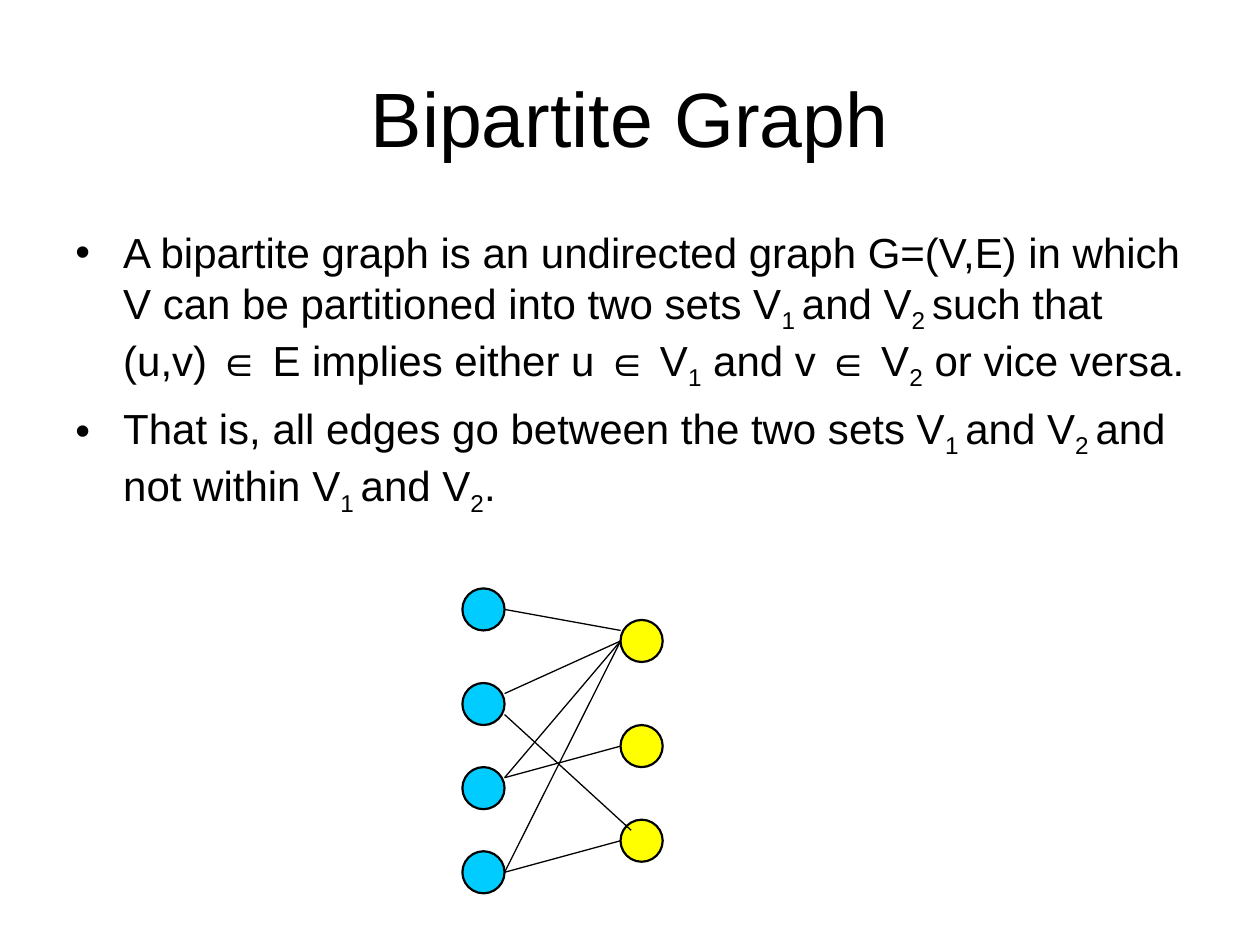
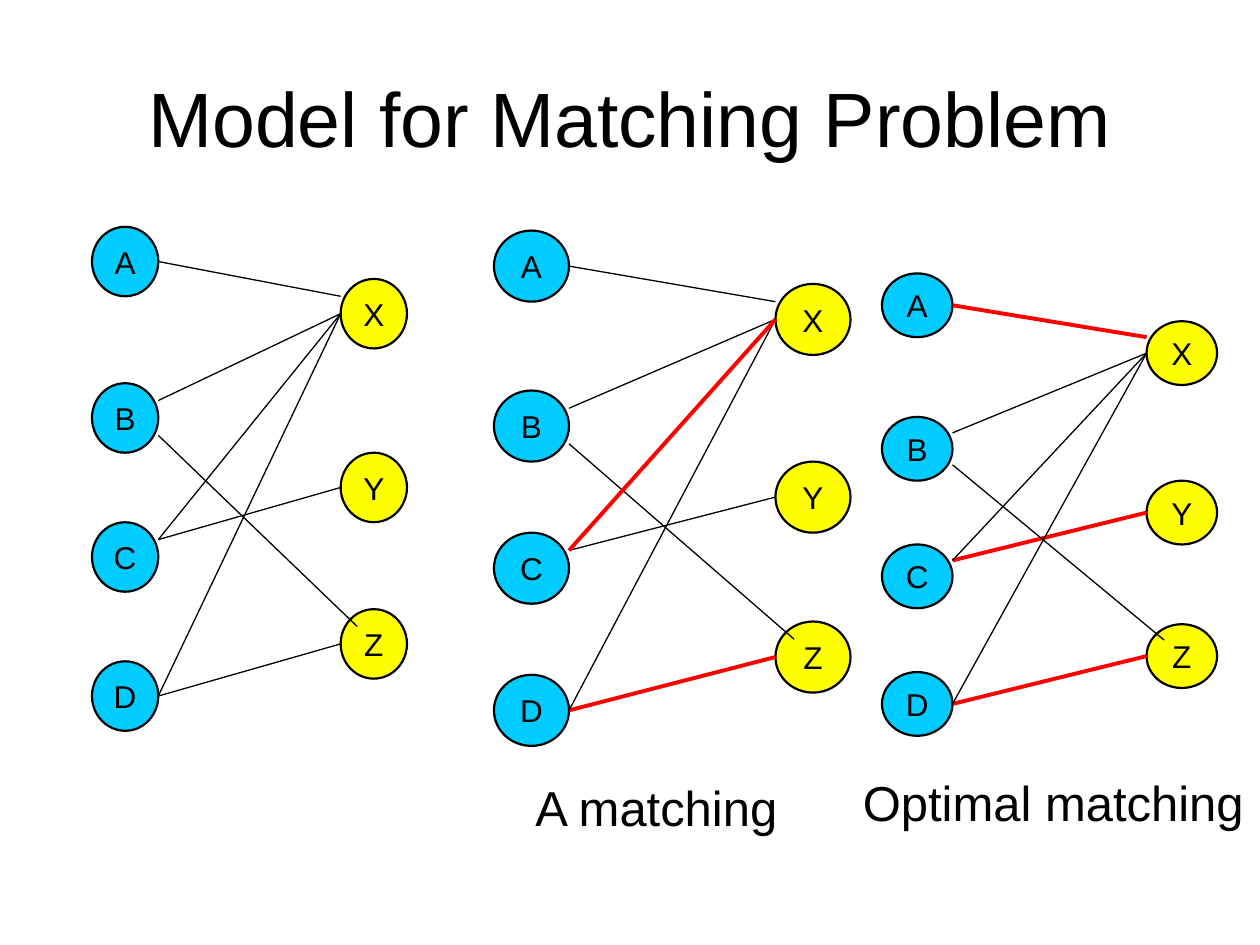
from dataclasses import dataclass

from lxml.etree import SubElement
from pptx import Presentation
from pptx.dml.color import RGBColor
from pptx.enum.shapes import MSO_CONNECTOR, MSO_SHAPE
from pptx.enum.text import MSO_ANCHOR, MSO_AUTO_SIZE, PP_ALIGN
from pptx.oxml.ns import qn
from pptx.util import Pt

EMU_PER_PX = 9144
FONT = "Arial"
BLACK, BLUE, YELLOW, RED = "000000", "00CCFF", "FFFF00", "FF0000"
HANGING_INDENT = 38

GRID_COLUMNS, GRID_ROWS, NODE_SPAN = 19, 29, 4


@dataclass(frozen=True)
class Node:
    label: str
    column: int
    row: int
    fill: str


@dataclass(frozen=True)
class Edge:
    name: str
    start: tuple[int, int]
    end: tuple[int, int]


@dataclass(frozen=True)
class Graph:
    left: int
    top: int
    width: int
    height: int
    labelled: bool = True
    matching: tuple[str, ...] = ()

    def x(self, column: int) -> int:
        return px(self.left + self.width * column / GRID_COLUMNS)

    def y(self, row: int) -> int:
        return px(self.top + self.height * row / GRID_ROWS)


@dataclass(frozen=True)
class Caption:
    text: str
    left: int
    top: int
    width: int


NODES = [
    *(Node(label, 0, row, BLUE) for label, row in zip("ABCD", (0, 9, 17, 25))),
    *(Node(label, 15, row, YELLOW) for label, row in zip("XYZ", (3, 13, 22))),
]
EDGES = [
    Edge("AX", (4, 2), (15, 4)),
    Edge("BX", (4, 10), (15, 5)),
    Edge("CY", (4, 18), (15, 15)),
    Edge("DZ", (4, 27), (15, 24)),
    Edge("DX", (4, 27), (15, 5)),
    Edge("BZ", (4, 12), (16, 23)),
    Edge("CX", (4, 18), (15, 5)),
]

DEFINITION_GRAPH = Graph(367, 467, 159, 242, labelled=False)
MATCHING_GRAPHS = [
    Graph(73, 180, 250, 400),
    Graph(392, 183, 283, 409, matching=("CX", "DZ")),
    Graph(700, 217, 266, 367, matching=("AX", "CY", "DZ")),
]
CAPTIONS = [
    Caption("A matching", 415, 612, 230),
    Caption("Optimal matching", 675, 608, 324),
]

# Odd pieces are subscripts.
DEFINITION = [
    ["A bipartite graph is an undirected graph G=(V,E) in which V can be "
     "partitioned into two sets V", "1 ", "and V", "2 ",
     "such that (u,v) ∈ E implies either u ∈ V", "1", " and v ∈ V", "2",
     " or vice versa."],
    ["That is, all edges go between the two sets V", "1 ", "and V", "2 ",
     "and not within V", "1 ", "and V", "2", "."],
]


def px(length: float) -> int:
    return round(length * EMU_PER_PX)


def color(value: str) -> RGBColor:
    return RGBColor.from_string(value)


def style(para, size: int, align=PP_ALIGN.LEFT) -> None:
    para.alignment = align
    para.font.name = FONT
    para.font.size = Pt(size)
    para.font.color.rgb = color(BLACK)


def add_text_box(page, left: int, top: int, width: int, height: int):
    box = page.shapes.add_textbox(px(left), px(top), px(width), px(height))
    box.text_frame.word_wrap = True
    return box.text_frame


def add_title(page, text: str) -> None:
    frame = add_text_box(page, 50, 30, 900, 125)
    frame.vertical_anchor = MSO_ANCHOR.MIDDLE
    frame.text = text
    style(frame.paragraphs[0], 44, PP_ALIGN.CENTER)


def add_bullet(para) -> None:
    properties = para._p.get_or_add_pPr()
    properties.set("marL", str(px(HANGING_INDENT)))
    properties.set("indent", str(-px(HANGING_INDENT)))
    bullet_color = SubElement(properties, qn("a:buClr"))
    SubElement(bullet_color, qn("a:srgbClr"), val=BLACK)
    SubElement(properties, qn("a:buFont"), typeface=FONT)
    SubElement(properties, qn("a:buChar"), char="•")


def add_definition(page) -> None:
    frame = add_text_box(page, 50, 175, 900, 495)
    for number, pieces in enumerate(DEFINITION):
        para = frame.add_paragraph() if number else frame.paragraphs[0]
        add_bullet(para)
        if number:
            para.space_before = Pt(6)
        style(para, 24)
        for position, piece in enumerate(pieces):
            span = para.add_run()
            span.text = piece
            if position % 2:
                span._r.get_or_add_rPr().set("baseline", "-25000")


def add_caption(page, caption: Caption) -> None:
    frame = add_text_box(page, caption.left, caption.top, caption.width, 57)
    frame.auto_size = MSO_AUTO_SIZE.SHAPE_TO_FIT_TEXT
    frame.text = caption.text
    style(frame.paragraphs[0], 28)


def add_node(shapes, graph: Graph, node: Node) -> None:
    left, top = graph.x(node.column), graph.y(node.row)
    circle = shapes.add_shape(
        MSO_SHAPE.OVAL, left, top,
        graph.x(node.column + NODE_SPAN) - left,
        graph.y(node.row + NODE_SPAN) - top)
    circle.shadow.inherit = False
    circle.fill.solid()
    circle.fill.fore_color.rgb = color(node.fill)
    circle.line.color.rgb = color(BLACK)
    circle.line.width = Pt(1.25)
    if graph.labelled:
        frame = circle.text_frame
        frame.word_wrap = False
        frame.vertical_anchor = MSO_ANCHOR.MIDDLE
        frame.text = node.label
        style(frame.paragraphs[0], 18, PP_ALIGN.CENTER)


def add_edge(shapes, graph: Graph, edge: Edge) -> None:
    matched = edge.name in graph.matching
    (start_column, start_row), (end_column, end_row) = edge.start, edge.end
    line = shapes.add_connector(
        MSO_CONNECTOR.STRAIGHT,
        graph.x(start_column), graph.y(start_row),
        graph.x(end_column), graph.y(end_row))
    line.line.color.rgb = color(RED if matched else BLACK)
    line.line.width = Pt(2.25 if matched else 0.75)
    SubElement(line._element.spPr, qn("a:effectLst"))


def add_graph(page, graph: Graph) -> None:
    shapes = page.shapes.add_group_shape().shapes if graph.labelled else page.shapes
    for node in NODES:
        add_node(shapes, graph, node)
    for edge in EDGES:
        add_edge(shapes, graph, edge)


def add_page(deck, title: str):
    page = deck.slides.add_slide(deck.slide_layouts[6])
    add_title(page, title)
    return page


def main() -> None:
    deck = Presentation()
    deck.slide_width, deck.slide_height = px(1000), px(750)

    page = add_page(deck, "Bipartite Graph")
    add_definition(page)
    add_graph(page, DEFINITION_GRAPH)

    page = add_page(deck, "Model for Matching Problem")
    for graph in MATCHING_GRAPHS:
        add_graph(page, graph)
    for caption in CAPTIONS:
        add_caption(page, caption)

    deck.save("out.pptx")


if __name__ == "__main__":
    main()
